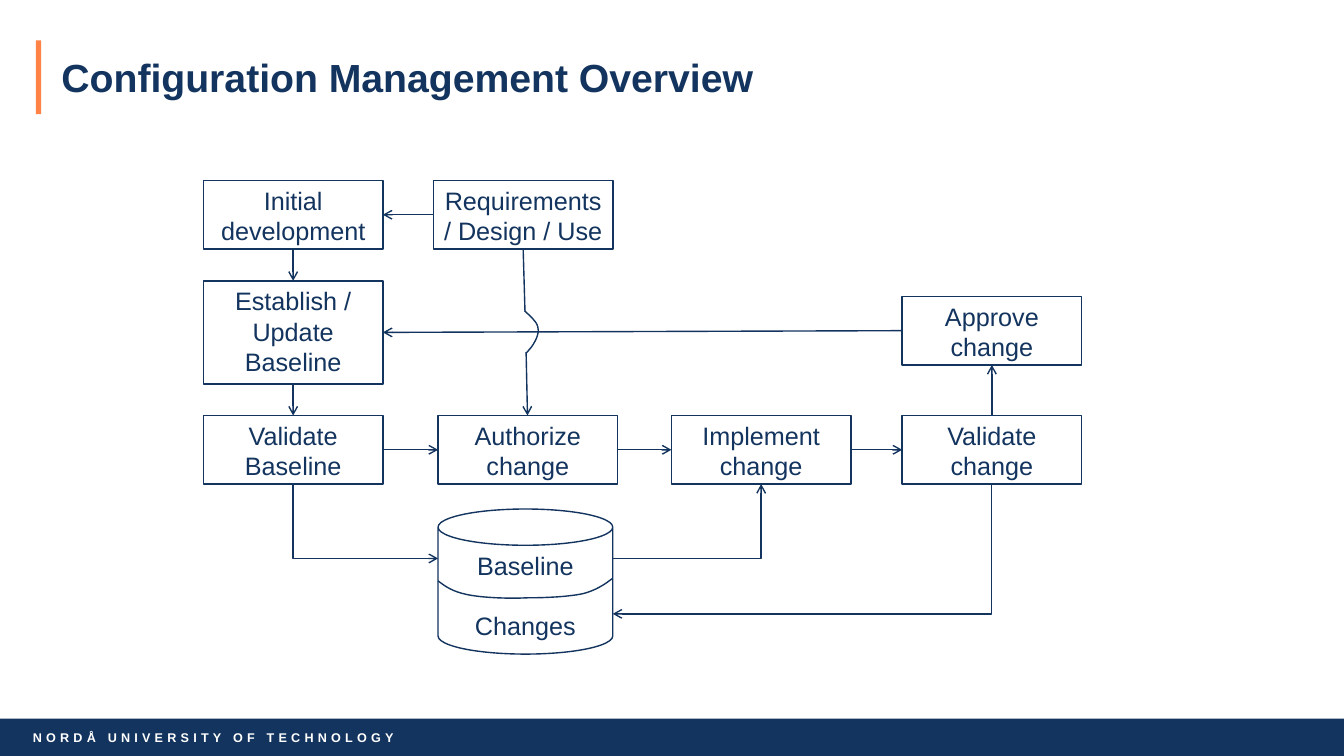
from lxml import etree
from pptx import Presentation
from pptx.dml.color import RGBColor
from pptx.enum import shapes, text
from pptx.oxml import ns
from pptx.util import Pt

NAVY = RGBColor(0x13, 0x34, 0x5E)
ORANGE = RGBColor(0xFF, 0x82, 0x47)
WHITE = RGBColor(0xFF, 0xFF, 0xFF)
TOP, LEFT, BOTTOM, RIGHT = range(4)


class Diagram:
    font = "Arial"
    text_size = 18
    line_width = 1
    box_width = 128.2

    def __init__(self, slide):
        self.slide = slide

    def format_text(self, frame, size, color, bold=False, align=text.PP_ALIGN.LEFT):
        for paragraph in frame.paragraphs:
            paragraph.alignment = align
            for run in paragraph.runs:
                run.font.name = self.font
                run.font.size = Pt(size)
                run.font.bold = bold
                run.font.color.rgb = color

    def outline(self, shape):
        shape.line.color.rgb = NAVY
        shape.line.width = Pt(self.line_width)

    def title(self, words, left, top, width, height):
        shape = self.slide.shapes.title
        shape.left, shape.top, shape.width, shape.height = map(Pt, (left, top, width, height))
        frame = shape.text_frame
        frame.text = words
        frame.auto_size = text.MSO_AUTO_SIZE.NONE
        frame.vertical_anchor = text.MSO_ANCHOR.MIDDLE
        frame.margin_left = 0
        frame.paragraphs[0].line_spacing = 0.9
        self.format_text(frame, 28, NAVY, bold=True)

    def shape(self, kind, left, top, width, height, fill):
        shape = self.slide.shapes.add_shape(kind, *map(Pt, (left, top, width, height)))
        shape.shadow.inherit = False
        shape.fill.solid()
        shape.fill.fore_color.rgb = fill
        shape.line.fill.background()
        return shape

    def bar(self, left, top, width, height, fill):
        return self.shape(shapes.MSO_SHAPE.RECTANGLE, left, top, width, height, fill)

    def footer(self, words, left, top, width, height, indent):
        frame = self.bar(left, top, width, height, NAVY).text_frame
        frame.text = words
        frame.margin_left = Pt(indent)
        frame.vertical_anchor = text.MSO_ANCHOR.MIDDLE
        self.format_text(frame, 9, WHITE, bold=True)
        frame.paragraphs[0].runs[0]._r.get_or_add_rPr().set("spc", "300")

    def node(self, words, left, top, height=49, width=box_width, kind=shapes.MSO_SHAPE.RECTANGLE):
        shape = self.shape(kind, left, top, width, height, WHITE)
        self.outline(shape)
        frame = shape.text_frame
        frame.text = words
        frame.word_wrap = True
        frame.vertical_anchor = text.MSO_ANCHOR.TOP
        self.format_text(frame, self.text_size, NAVY, align=text.PP_ALIGN.CENTER)
        return shape

    def line(self, start, end, arrow=True):
        connector = self.slide.shapes.add_connector(
            shapes.MSO_CONNECTOR.STRAIGHT, *map(Pt, start + end))
        self.outline(connector)
        if arrow:
            line = connector.line._get_or_add_ln()
            etree.SubElement(line, ns.qn("a:tailEnd")).set("type", "arrow")
        etree.SubElement(connector._element.spPr, ns.qn("a:effectLst"))
        return connector

    def link(self, source, source_side, target, target_side):
        connector = self.line((0, 0), (0, 0))
        connector.begin_connect(source, source_side)
        connector.end_connect(target, target_side)

    def elbow(self, start, end, vertical_first):
        connector = self.line(start, end)
        properties = connector._element.spPr
        properties.find(ns.qn("a:prstGeom")).set("prst", "bentConnector2")
        if not vertical_first:
            return
        (x1, y1), (x2, y2) = start, end
        width, height = abs(y2 - y1), abs(x2 - x1)
        connector.left = Pt((x1 + x2 - width) / 2)
        connector.top = Pt((y1 + y2 - height) / 2)
        connector.width, connector.height = Pt(width), Pt(height)
        frame = properties.find(ns.qn("a:xfrm"))
        frame.attrib.pop("flipH", None)
        if x2 > x1:
            frame.set("flipH", "1")
        frame.set("rot", str((270 if x2 > x1 else 90) * 60000))

    def curve(self, start, segments, steps=8):
        points, origin = [], start
        for controls in segments:
            anchors = (origin,) + controls
            for step in range(1, steps + 1):
                t = step / steps
                weights = ((1 - t) ** 3, 3 * t * (1 - t) ** 2, 3 * t * t * (1 - t), t ** 3)
                points.append(tuple(
                    Pt(sum(weight * anchor[axis] for weight, anchor in zip(weights, anchors)))
                    for axis in (0, 1)))
            origin = controls[-1]
        builder = self.slide.shapes.build_freeform(*map(Pt, start))
        builder.add_line_segments(points, close=False)
        shape = builder.convert_to_shape()
        shape.shadow.inherit = False
        shape.fill.background()
        self.outline(shape)


def main():
    presentation = Presentation()
    presentation.slide_width, presentation.slide_height = Pt(960), Pt(540)
    diagram = Diagram(presentation.slides.add_slide(presentation.slide_layouts[5]))

    diagram.footer("NORDÅ UNIVERSITY OF TECHNOLOGY", 0, 513.4, 961, 27.2, indent=23.5)
    diagram.bar(25.7, 28.8, 3.8, 52.8, ORANGE)
    diagram.title("Configuration Management Overview", 43.9, 20.2, 719.3, 73.4)

    first, second, third, fourth = 145.3, 312.9, 479.6, 644.4
    upper, lower = 128.9, 296.8
    initial = diagram.node("Initial development", first, upper)
    establish = diagram.node("Establish / Update Baseline", first, 200.6, height=73.7)
    validate_baseline = diagram.node("Validate Baseline", first, lower)
    requirements = diagram.node("Requirements / Design / Use", 309.6, upper)
    authorize = diagram.node("Authorize change", second, lower)
    implement = diagram.node("Implement change", third, lower)
    validate_change = diagram.node("Validate change", fourth, lower)
    approve = diagram.node("Approve change", fourth, 211.7)

    store = diagram.node("Baseline\nChanges", second, 363.6, height=103.6, width=124.8,
                         kind=shapes.MSO_SHAPE.CAN)
    store.text_frame.paragraphs[1].space_before = Pt(21)
    diagram.curve((second, 414.9), [
        ((318.2, 419), (323.3, 422.6), (334.1, 424.8)),
        ((344.9, 427), (363.6, 427.7), (377.3, 427)),
        ((391, 427), (406.1, 426.2), (416.2, 424.1)),
        ((425.5, 421.9), (432.7, 416.9), (437.3, 413.3)),
    ])

    for source, source_side, target, target_side in (
        (requirements, LEFT, initial, RIGHT),
        (initial, BOTTOM, establish, TOP),
        (establish, BOTTOM, validate_baseline, TOP),
        (validate_baseline, RIGHT, authorize, LEFT),
        (authorize, RIGHT, implement, LEFT),
        (implement, RIGHT, validate_change, LEFT),
        (validate_change, TOP, approve, BOTTOM),
        (approve, LEFT, establish, RIGHT),
    ):
        diagram.link(source, source_side, target, target_side)

    diagram.elbow((209.4, 345.8), (second, 398.9), vertical_first=True)
    diagram.elbow((437.7, 398.9), (543.7, 345.8), vertical_first=False)
    diagram.elbow((708.2, 345.8), (437.7, 438.5), vertical_first=True)

    diagram.line((373.7, 177.9), (375, 222.5), arrow=False)
    diagram.line((375.8, 251.5), (376.8, 296.8))
    diagram.curve((374.8, 222), [
        ((377.3, 224.6), (380.2, 226.8), (381.6, 229)),
        ((383.8, 231.1), (384.5, 234), (384.5, 236.2)),
        ((384.5, 239), (383, 242.6), (381.6, 244.8)),
        ((380.2, 247.7), (377.3, 250.6), (375.8, 252.4)),
    ])

    presentation.save("out.pptx")


if __name__ == "__main__":
    main()
